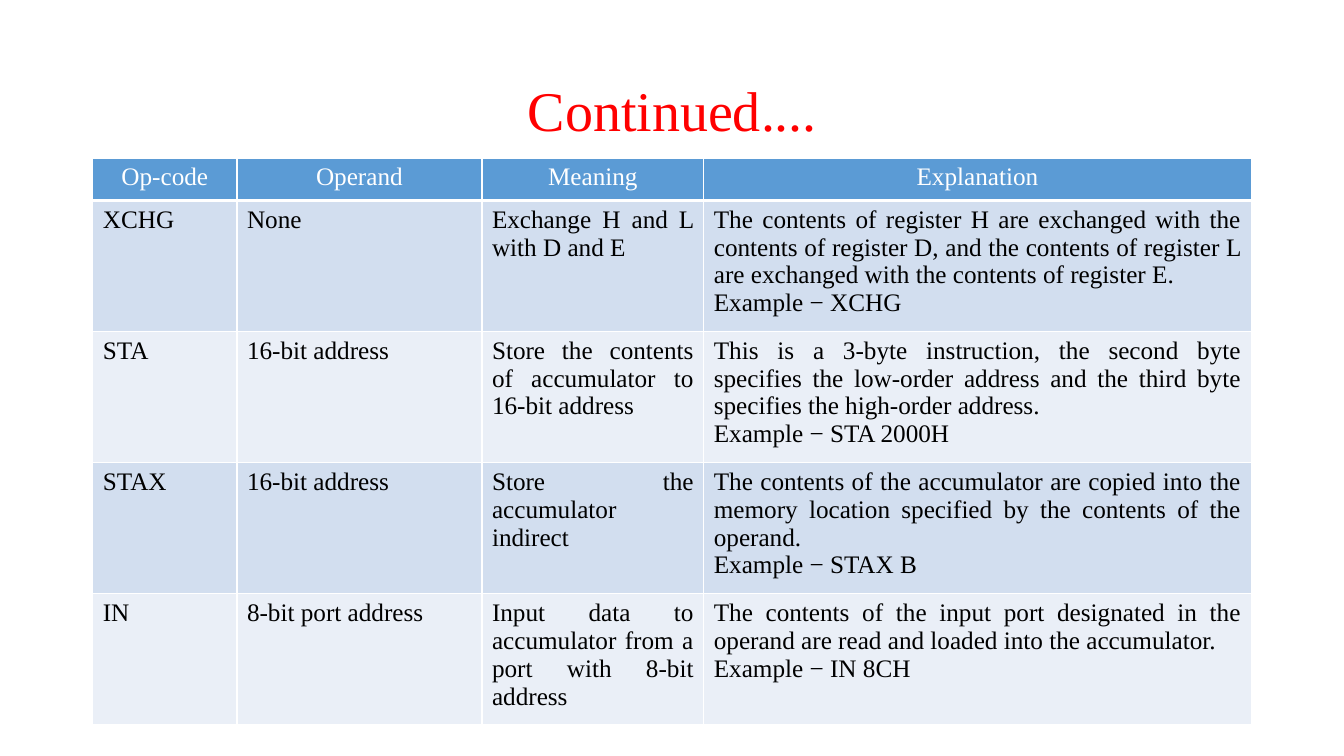
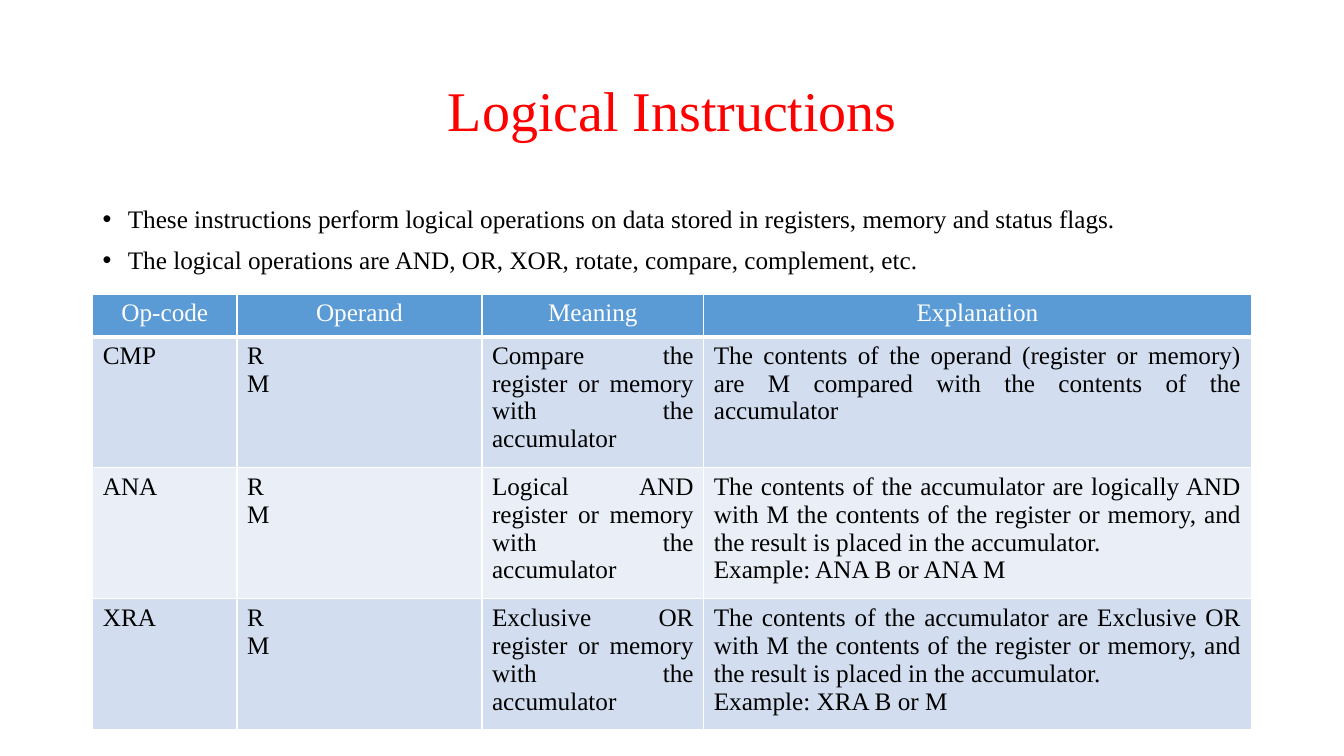
from dataclasses import dataclass

from lxml.etree import SubElement
from pptx import Presentation
from pptx.dml.color import RGBColor
from pptx.enum.text import MSO_ANCHOR as Anchor, PP_ALIGN as Align
from pptx.oxml import parse_xml
from pptx.oxml.ns import nsdecls, qn
from pptx.util import Inches, Pt


@dataclass(frozen=True)
class Theme:
    font: str = "Times New Roman"
    title_size: int = 40
    body_size: int = 18
    title: str = "FF0000"
    text: str = "000000"
    header_text: str = "FFFFFF"
    header_fill: str = "5B9BD5"
    bands: tuple = ("D2DEEF", "EAEFF7")
    border: str = "FFFFFF"
    thin: int = 1
    thick: int = 3


LEFT, WIDTH = 0.92, 11.5
COLUMN_WIDTHS = (1.43, 2.43, 2.2, 5.43)
HEADER_HEIGHT, ROW_HEIGHT = 0.42, 1.2
HEADERS = ("Op-code", "Operand", "Meaning", "Explanation")

TRANSFER_ROWS = (
    ("XCHG", "None", "Exchange H and L with D and E",
     "The contents of register H are exchanged with the contents of register D, "
     "and the contents of register L are exchanged with the contents of register E.\n"
     "Example − XCHG"),
    ("STA", "16-bit address", "Store the contents of accumulator to 16-bit address",
     "This is a 3-byte instruction, the second byte specifies the low-order address "
     "and the third byte specifies the high-order address.\n"
     "Example − STA 2000H"),
    ("STAX", "16-bit address", "Store the accumulator indirect",
     "The contents of the accumulator are copied into the memory location "
     "specified by the contents of the operand.\n"
     "Example − STAX B"),
    ("IN", "8-bit port address", "Input data to accumulator from a port with 8-bit address",
     "The contents of the input port designated in the operand are read "
     "and loaded into the accumulator.\n"
     "Example − IN 8CH"),
)

LOGICAL_POINTS = (
    "These instructions perform logical operations on data stored in registers, "
    "memory and status flags.",
    "The logical operations are AND, OR, XOR, rotate, compare, complement, etc.",
)

LOGICAL_ROWS = (
    ("CMP", "R\nM", "Compare the register or memory with the accumulator",
     "The contents of the operand (register or memory) are M compared "
     "with the contents of the accumulator"),
    ("ANA", "R\nM", "Logical AND register or memory with the accumulator",
     "The contents of the accumulator are logically AND with M the contents of "
     "the register or memory, and the result is placed in the accumulator.\n"
     "Example: ANA B or ANA M"),
    ("XRA", "R\nM", "Exclusive OR register or memory with the accumulator",
     "The contents of the accumulator are Exclusive OR with M the contents of "
     "the register or memory, and the result is placed in the accumulator.\n"
     "Example: XRA B or M"),
)


class Deck:
    def __init__(self, theme):
        self.theme = theme
        self.presentation = Presentation()
        self.presentation.slide_width = Inches(13.33)
        self.presentation.slide_height = Inches(7.5)
        self.slide = None

    def add_slide(self, title):
        layout = self.presentation.slide_layouts[6]
        self.slide = self.presentation.slides.add_slide(layout)
        frame = self.text_box(0.4, 1.45, title)
        frame.vertical_anchor = Anchor.MIDDLE
        self.style(frame, self.theme.title, self.theme.title_size,
                   alignment=Align.CENTER, line_spacing=0.9)

    def text_box(self, top, height, text):
        shape = self.slide.shapes.add_textbox(
            Inches(LEFT), Inches(top), Inches(WIDTH), Inches(height))
        shape.text_frame.word_wrap = True
        shape.text_frame.text = text
        return shape.text_frame

    def style(self, frame, color, size, **paragraph_format):
        font_format = {"name": self.theme.font, "size": Pt(size), "bold": False}
        for paragraph in frame.paragraphs:
            for name, value in paragraph_format.items():
                setattr(paragraph, name, value)
            for run in paragraph.runs:
                for name, value in font_format.items():
                    setattr(run.font, name, value)
                run.font.color.rgb = RGBColor.from_string(color)

    def bullets(self, top, height, points):
        frame = self.text_box(top, height, "\n".join(points))
        self.style(frame, self.theme.text, self.theme.body_size,
                   alignment=Align.JUSTIFY, line_spacing=0.9, space_before=Pt(10))
        indent = Inches(0.25)
        for paragraph in frame.paragraphs:
            properties = paragraph._p.get_or_add_pPr()
            properties.set("marL", str(indent))
            properties.set("indent", str(-indent))
            SubElement(properties, qn("a:buFont"), typeface="Arial")
            SubElement(properties, qn("a:buChar"), char="•")

    def table(self, top, rows):
        height = HEADER_HEIGHT + ROW_HEIGHT * len(rows)
        table = self.slide.shapes.add_table(
            len(rows) + 1, len(HEADERS), Inches(LEFT), Inches(top),
            Inches(WIDTH), Inches(height)).table
        for column, width in zip(table.columns, COLUMN_WIDTHS):
            column.width = Inches(width)
        for index, texts in enumerate((HEADERS, *rows)):
            table.rows[index].height = Inches(ROW_HEIGHT if index else HEADER_HEIGHT)
            for cell, text in zip(table.rows[index].cells, texts):
                self.cell(cell, text, index)

    def cell(self, cell, text, row):
        theme = self.theme
        if row:
            fill, color, alignment = theme.bands[(row - 1) % 2], theme.text, Align.JUSTIFY
        else:
            fill, color, alignment = theme.header_fill, theme.header_text, Align.CENTER
        cell.text = text
        cell.fill.solid()
        cell.fill.fore_color.rgb = RGBColor.from_string(fill)
        self.style(cell.text_frame, color, theme.body_size, alignment=alignment)
        widths = {
            "lnL": theme.thin,
            "lnR": theme.thin,
            "lnT": theme.thick if row == 1 else theme.thin,
            "lnB": theme.thin if row else theme.thick,
        }
        properties = cell._tc.get_or_add_tcPr()
        for position, (edge, width) in enumerate(widths.items()):
            properties.insert(position, parse_xml(
                f'<a:{edge} {nsdecls("a")} w="{Pt(width)}"><a:solidFill>'
                f'<a:srgbClr val="{theme.border}"/></a:solidFill></a:{edge}>'))


def main():
    deck = Deck(Theme())
    deck.add_slide("Continued....")
    deck.table(1.57, TRANSFER_ROWS)
    deck.add_slide("Logical Instructions")
    deck.bullets(2, 5.3, LOGICAL_POINTS)
    deck.table(2.92, LOGICAL_ROWS)
    deck.presentation.save("out.pptx")


if __name__ == "__main__":
    main()
